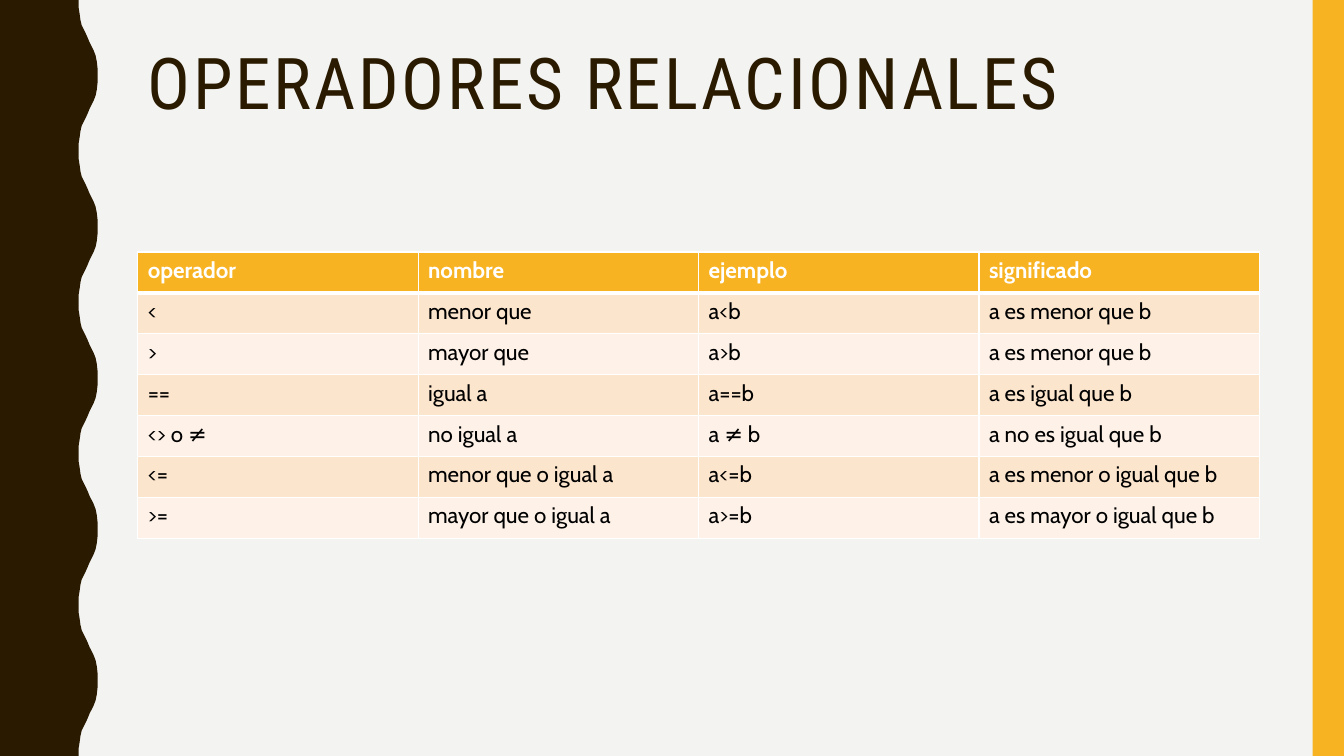
from lxml.etree import SubElement
from pptx import Presentation
from pptx.dml.color import RGBColor
from pptx.enum.text import MSO_ANCHOR, MSO_AUTO_SIZE, PP_ALIGN
from pptx.enum.shapes import MSO_SHAPE
from pptx.oxml.ns import qn
from pptx.util import Cm, Pt

TITLE = "OPERADORES RELACIONALES"
ROWS = [
    ("operador", "nombre", "ejemplo", "significado"),
    ("<", "menor que", "a<b", "a es menor que b"),
    (">", "mayor que", "a>b", "a es menor que b"),
    ("==", "igual a", "a==b", "a es igual que b"),
    ("<> o ≠", "no igual a", "a ≠ b", "a no es igual que b"),
    ("<=", "menor que o igual a", "a<=b", "a es menor o igual que b"),
    (">=", "mayor que o igual a", "a>=b", "a es mayor o igual que b"),
]
HALF_WAVE = [
    (1.98, 0), (1.98, 0.18), (2.01, 0.36), (2.03, 0.51), (2.06, 0.64),
    (2.11, 0.74), (2.16, 0.84), (2.21, 0.95), (2.26, 1.07), (2.31, 1.17),
    (2.36, 1.27), (2.41, 1.4), (2.44, 1.55), (2.46, 1.73), (2.46, 1.9),
]
WAVE_COUNT = 5
WAVE_LENGTH = 3.81

BROWN = RGBColor(0x2A, 0x1A, 0x00)
AMBER = RGBColor(0xF8, 0xB3, 0x23)
PEACH = RGBColor(0xFC, 0xE5, 0xCD)
CREAM = RGBColor(0xFE, 0xF2, 0xE8)
PAPER = RGBColor(0xF3, 0xF3, 0xF2)
WHITE = RGBColor(0xFF, 0xFF, 0xFF)
BLACK = RGBColor(0x00, 0x00, 0x00)

SLIDE_WIDTH, SLIDE_HEIGHT = Cm(33.87), Cm(19.05)
CONTENT_LEFT, CONTENT_WIDTH = Cm(3.47), Cm(28.27)
ROW_HEIGHT = Cm(1.03)
BAR_WIDTH = Cm(0.79)


def paint(shape, color):
    shape.shadow.inherit = False
    shape.fill.solid()
    shape.fill.fore_color.rgb = color
    shape.line.fill.background()


def add_wave(slide):
    points = []
    for wave in range(WAVE_COUNT):
        top = wave * WAVE_LENGTH
        points += [(x, top + y) for x, y in HALF_WAVE]
        points += [(x, top + WAVE_LENGTH - y) for x, y in reversed(HALF_WAVE)]
    builder = slide.shapes.build_freeform(0, 0)
    outline = [(Cm(x), Cm(y)) for x, y in points]
    builder.add_line_segments(outline + [(0, SLIDE_HEIGHT)], close=True)
    paint(builder.convert_to_shape(), BROWN)


def add_title(slide):
    title = slide.shapes.title
    title.left, title.top = CONTENT_LEFT, Cm(1.07)
    title.width, title.height = CONTENT_WIDTH, Cm(4.14)
    frame = title.text_frame
    frame.text = TITLE
    frame.word_wrap = True
    frame.auto_size = MSO_AUTO_SIZE.NONE
    frame.vertical_anchor = MSO_ANCHOR.TOP
    para = frame.paragraphs[0]
    para.alignment = PP_ALIGN.LEFT
    para.line_spacing = 0.9
    span = para.runs[0]
    span.font.name = "Roboto Condensed"
    span.font.size = Pt(51)
    span.font.color.rgb = BROWN
    span.font._element.set("spc", "200")


def add_borders(cell, bottom_width):
    properties = cell._tc.get_or_add_tcPr()
    widths = {"a:lnL": 1, "a:lnR": 1, "a:lnT": 1, "a:lnB": bottom_width}
    for side, width in widths.items():
        line = SubElement(properties, qn(side), w=str(Pt(width)))
        fill = SubElement(line, qn("a:solidFill"))
        SubElement(fill, qn("a:srgbClr"), val=str(WHITE))


def add_operator_table(slide):
    frame = slide.shapes.add_table(
        len(ROWS), len(ROWS[0]), CONTENT_LEFT, Cm(6.35),
        CONTENT_WIDTH, ROW_HEIGHT * len(ROWS))
    table = frame.table
    for row_index, texts in enumerate(ROWS):
        header = row_index == 0
        band = AMBER if header else PEACH if row_index % 2 else CREAM
        for column_index, text in enumerate(texts):
            cell = table.cell(row_index, column_index)
            add_borders(cell, 3 if header else 1)
            cell.fill.solid()
            cell.fill.fore_color.rgb = band
            cell.text_frame.text = text
            font = cell.text_frame.paragraphs[0].runs[0].font
            font.name = "Cabin"
            font.size = Pt(16)
            font.bold = header
            font.color.rgb = WHITE if header else BLACK


def main():
    deck = Presentation()
    deck.slide_width, deck.slide_height = SLIDE_WIDTH, SLIDE_HEIGHT
    slide = deck.slides.add_slide(deck.slide_layouts[5])
    slide.background.fill.solid()
    slide.background.fill.fore_color.rgb = PAPER
    add_wave(slide)
    bar = slide.shapes.add_shape(
        MSO_SHAPE.RECTANGLE, SLIDE_WIDTH - BAR_WIDTH, 0, BAR_WIDTH, SLIDE_HEIGHT)
    paint(bar, AMBER)
    add_title(slide)
    add_operator_table(slide)
    deck.save("out.pptx")


if __name__ == "__main__":
    main()
